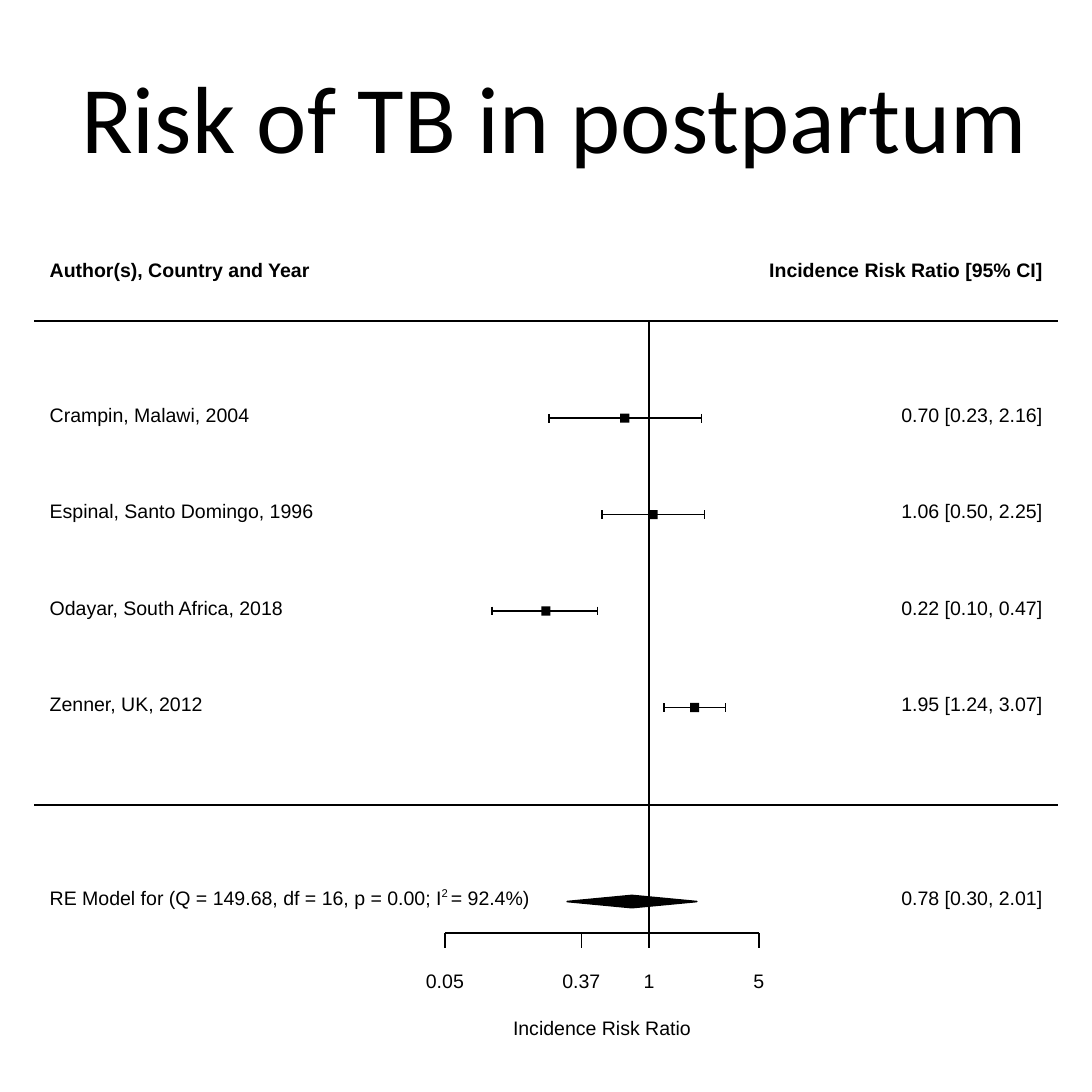
import math

from lxml import etree
from pptx import Presentation, util as u
from pptx.dml.color import RGBColor
from pptx.enum import shapes, text
from pptx.oxml.ns import qn

TITLE = "Risk of TB in postpartum"
HEADERS = [("Author(s), Country and Year", 4.35), ("Incidence Risk Ratio [95% CI]", 4.55)]
# study, label width, ratio, lower limit, upper limit
STUDIES = [
    ("Crampin, Malawi, 2004", 3.4, 0.70, 0.23, 2.16),
    ("Espinal, Santo Domingo, 1996", 4.45, 1.06, 0.50, 2.25),
    ("Odayar, South Africa, 2018", 3.96, 0.22, 0.10, 0.47),
    ("Zenner, UK, 2012", 2.67, 1.95, 1.24, 3.07),
]
MODEL = ["RE Model for (Q = 149.68, df = 16, p = 0.00; I", "2 ", "= 92.4%)"]
MODEL_RESULT = (0.78, 0.30, 2.01)
TICKS = [0.05, 0.37, 1, 5]
AXIS_TITLE = "Incidence Risk Ratio"

# Positions in centimetres
SIDE = 17.78
BLACK = "000000"
RULE_LEFT, RULE_RIGHT = 0.56, 17.22
TEXT_LEFT, TEXT_RIGHT = 0.81, 16.97
HEADER_Y, TOP_RULE_Y, FIRST_ROW_Y, ROW_STEP = 4.45, 5.23, 6.81, 1.57
BOTTOM_RULE_Y, MODEL_Y, AXIS_Y, TICK = 13.11, 14.68, 15.19, 0.25
TICK_LABEL_Y, AXIS_TITLE_Y = 16.03, 16.79
UNITY_X, LOG_UNIT = 10.57, 1.11
VALUE_WIDTH = 2.36
CAP, SQUARE, DIAMOND = 0.14, 0.15, 0.2

LEFT, CENTER, RIGHT = text.PP_ALIGN.LEFT, text.PP_ALIGN.CENTER, text.PP_ALIGN.RIGHT


def color(value):
    return RGBColor.from_string(value)


def ratio_x(ratio):
    """Place a ratio on the logarithmic axis."""
    return UNITY_X + LOG_UNIT * math.log(ratio)


def result_text(ratio, low, high):
    return f"{ratio:.2f} [{low:.2f}, {high:.2f}]"


def add_line(page, x1, y1, x2, y2):
    line = page.shapes.add_connector(
        shapes.MSO_CONNECTOR.STRAIGHT, u.Cm(x1), u.Cm(y1), u.Cm(x2), u.Cm(y2))
    line.line.color.rgb = color(BLACK)
    line.line.width = u.Pt(0.75)
    etree.SubElement(line._element.spPr, qn("a:effectLst"))


def add_mark(page, kind, x, y, width, height):
    """Add a black shape centred on a point."""
    mark = page.shapes.add_shape(
        kind, u.Cm(x - width / 2), u.Cm(y - height / 2), u.Cm(width), u.Cm(height))
    mark.shadow.inherit = False
    mark.fill.solid()
    mark.fill.fore_color.rgb = color(BLACK)
    mark.line.fill.background()
    return mark


def add_label(page, pieces, x, y, width, align=LEFT, bold=False):
    """Add one line of text whose left, centre or right is at x; return its runs."""
    left = x - {LEFT: 0, CENTER: width / 2, RIGHT: width}[align]
    box = page.shapes.add_textbox(u.Cm(left), u.Cm(y - 0.28), u.Cm(width), u.Cm(0.43))
    frame = box.text_frame
    frame.word_wrap = True
    frame.margin_left = frame.margin_right = frame.margin_bottom = 0
    frame.margin_top = u.Cm(0.03)
    para = frame.paragraphs[0]
    para.alignment = align
    para.space_before = u.Pt(1)
    para.font.name, para.font.size, para.font.bold = "Arial", u.Pt(9), bold
    para.font.color.rgb = color(BLACK)
    for piece in pieces:
        para.add_run().text = piece
    return para.runs


def add_title(page):
    title = page.shapes.title
    title.left, title.top = u.Cm(1.07), u.Cm(1.02)
    title.width, title.height = u.Cm(15.95), u.Cm(1.96)
    frame = title.text_frame
    frame.text = TITLE
    frame.auto_size = text.MSO_AUTO_SIZE.NONE
    frame.vertical_anchor = text.MSO_ANCHOR.MIDDLE
    para = frame.paragraphs[0]
    para.alignment = LEFT
    para.line_spacing = 0.9
    para.font.name, para.font.size = "Calibri", u.Pt(44)
    para.font.color.rgb = color(BLACK)


def add_study(page, y, study, width, ratio, low, high):
    add_label(page, [study], TEXT_LEFT, y, width)
    add_label(page, [result_text(ratio, low, high)], TEXT_RIGHT, y, VALUE_WIDTH, RIGHT)
    add_line(page, ratio_x(low), y, ratio_x(high), y)
    for limit in (low, high):
        add_line(page, ratio_x(limit), y - CAP / 2, ratio_x(limit), y + CAP / 2)
    add_mark(page, shapes.MSO_SHAPE.RECTANGLE, ratio_x(ratio), y, SQUARE, SQUARE)


def add_model(page):
    spans = add_label(page, MODEL, TEXT_LEFT, MODEL_Y, 7.92)
    spans[1]._r.get_or_add_rPr().set("baseline", "42000")
    add_label(page, [result_text(*MODEL_RESULT)], TEXT_RIGHT, MODEL_Y, VALUE_WIDTH, RIGHT)
    start, end = (ratio_x(limit) for limit in MODEL_RESULT[1:])
    diamond = add_mark(page, shapes.MSO_SHAPE.DIAMOND,
                       (start + end) / 2, MODEL_Y, end - start, DIAMOND)
    diamond.line.color.rgb = color(BLACK)
    diamond.line.width = u.Pt(0.75)


def add_axis(page):
    start, end = ratio_x(TICKS[0]), ratio_x(TICKS[-1])
    add_line(page, start, AXIS_Y, end, AXIS_Y)
    for tick in TICKS:
        x = ratio_x(tick)
        add_line(page, x, AXIS_Y, x, AXIS_Y + TICK)
        add_label(page, [str(tick)], x, TICK_LABEL_Y, 0.75, CENTER)
    add_label(page, [AXIS_TITLE], (start + end) / 2, AXIS_TITLE_Y, 3.2, CENTER)


def main():
    deck = Presentation()
    deck.slide_width = deck.slide_height = u.Cm(SIDE)
    page = deck.slides.add_slide(deck.slide_layouts[5])
    add_title(page)
    for (header, width), x, align in zip(HEADERS, (TEXT_LEFT, TEXT_RIGHT), (LEFT, RIGHT)):
        add_label(page, [header], x, HEADER_Y, width, align, bold=True)
    for y in (TOP_RULE_Y, BOTTOM_RULE_Y):
        add_line(page, RULE_LEFT, y, RULE_RIGHT, y)
    add_line(page, UNITY_X, TOP_RULE_Y, UNITY_X, AXIS_Y)
    for row, study in enumerate(STUDIES):
        add_study(page, FIRST_ROW_Y + row * ROW_STEP, *study)
    add_model(page)
    add_axis(page)
    deck.save("out.pptx")


if __name__ == "__main__":
    main()
